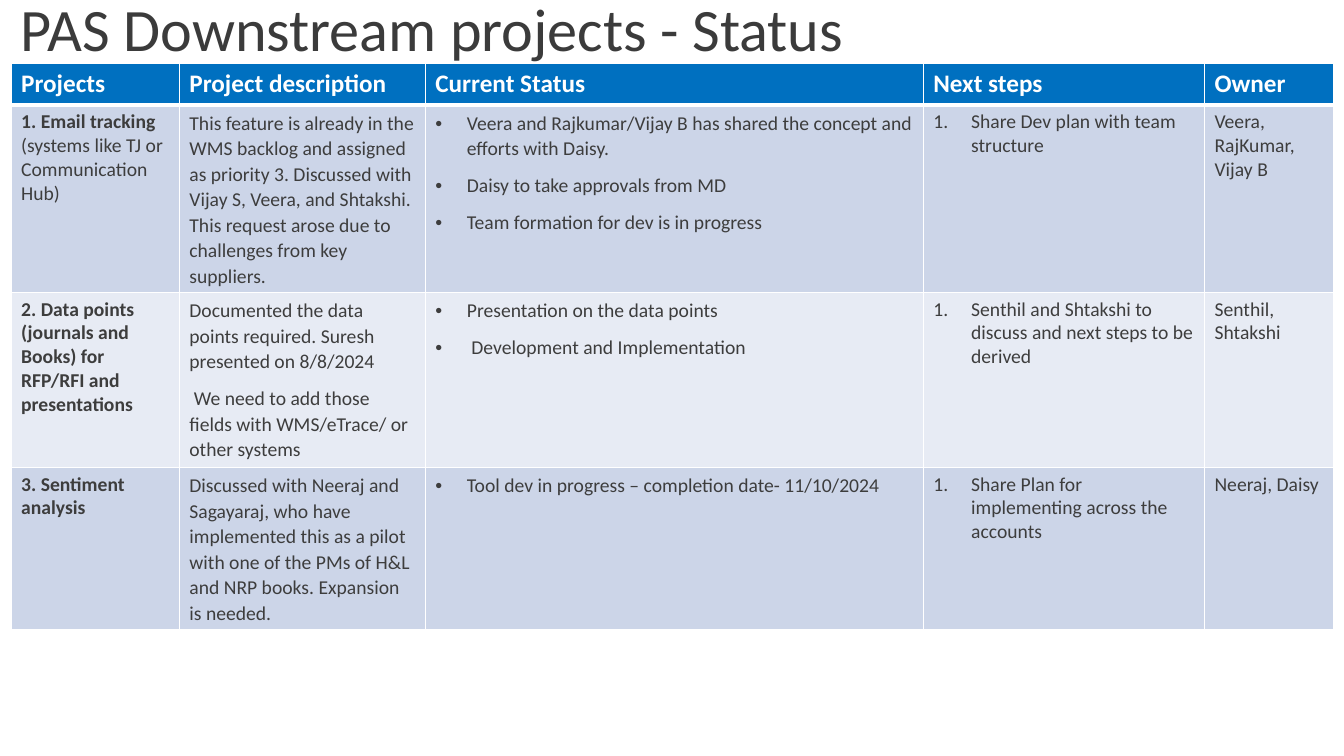
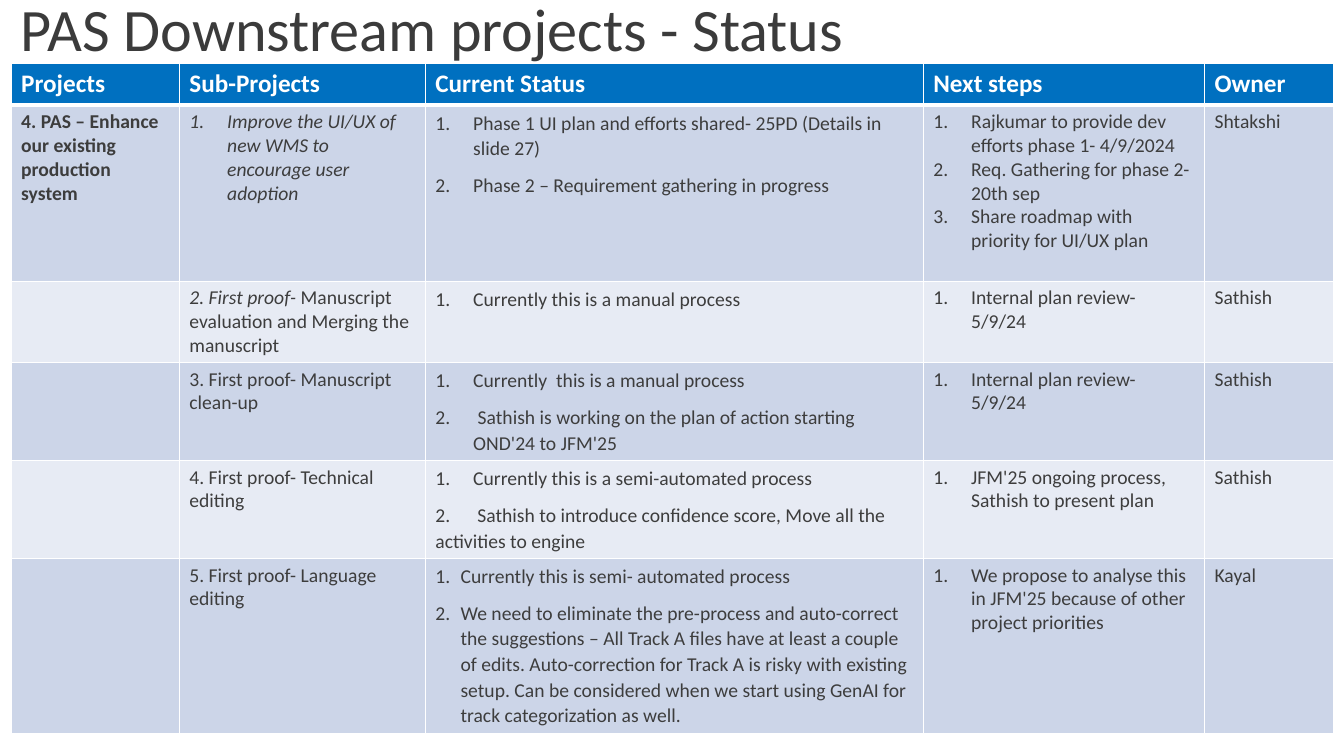
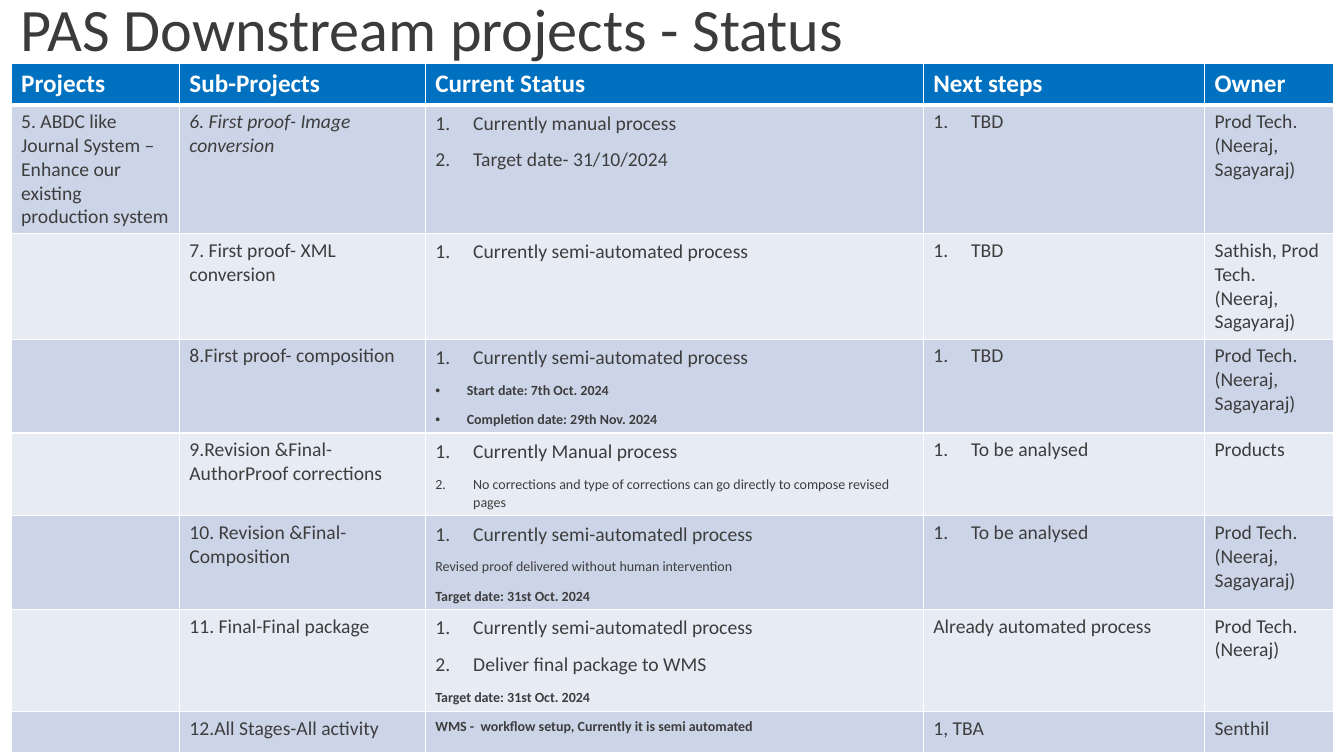
from dataclasses import dataclass

from lxml import etree
from pptx import Presentation
from pptx.dml.color import RGBColor
from pptx.enum import text
from pptx.oxml import ns
from pptx.util import Pt

# Shared look
FONT = "Calibri"
TITLE = "PAS Downstream projects - Status"
TITLE_COLOR = RGBColor(0x3B, 0x3B, 0x3B)
BODY_COLOR = RGBColor(0x3D, 0x3D, 0x3D)
WHITE = RGBColor(0xFF, 0xFF, 0xFF)
HEADER_FILL = RGBColor(0x00, 0x70, 0xC0)
BAND_FILLS = (RGBColor(0xCC, 0xD5, 0xE8), RGBColor(0xE7, 0xEB, 0xF4))
LEFT, TITLE_WIDTH, TITLE_HEIGHT = 7.9, 828, 45.4
HEADER_HEIGHT = 29.5
COLUMN_WIDTHS = (120.2, 175.7, 355.7, 200.9, 92.2)
STATUS_COLUMN = 2
NUMBER_INDENT, BULLET_INDENT, TAB_STOP = 27, 22.5, 30


@dataclass(frozen=True)
class Run:
    text: str
    size: float = 14
    bold: bool = False
    italic: bool = False
    color: RGBColor = BODY_COLOR


@dataclass(frozen=True)
class Para:
    runs: tuple[Run, ...]
    mark: str = ""
    indent: float = 0


@dataclass(frozen=True)
class Row:
    height: float
    cells: tuple[list[Para], ...]


@dataclass(frozen=True)
class StatusTable:
    second_heading: str
    spaced_columns: tuple[int, ...]
    rows: tuple[Row, ...]


# Paragraph kinds
def plain(content: str, **style) -> list[Para]:
    return [Para((Run(content, **style),))]


def numbers(*items: str, indent: float = NUMBER_INDENT, **style) -> list[Para]:
    return [Para((Run(item, **style),), "number", indent) for item in items]


def bullets(*items: str, **style) -> list[Para]:
    return [Para((Run(item, **style),), "bullet", BULLET_INDENT) for item in items]


def lead(first: Run, rest: str) -> list[Para]:
    return [Para((first, Run(rest)))]


# Drawing
def add_element(parent, tag: str, **attributes):
    element = etree.SubElement(parent, ns.qn(tag))
    for name, value in attributes.items():
        element.set(name, str(value))
    return element


def write_paragraph(paragraph, content: Para, line_spacing: float, space_after: float) -> None:
    layout = {"line_spacing": line_spacing, "space_after": Pt(space_after)}
    for name, value in layout.items():
        setattr(paragraph, name, value)
    properties = paragraph._p.get_or_add_pPr()
    if content.mark:
        properties.set("marL", str(Pt(content.indent)))
        properties.set("indent", str(-Pt(content.indent)))
    if content.mark == "number":
        add_element(properties, "a:buFont", typeface="+mj-lt")
        add_element(properties, "a:buAutoNum", type="arabicPeriod")
    elif content.mark == "bullet":
        add_element(properties, "a:buFont", typeface="Arial")
        add_element(properties, "a:buChar", char="•")
    elif "\t" in content.runs[0].text:
        stops = add_element(properties, "a:tabLst")
        add_element(stops, "a:tab", pos=Pt(TAB_STOP), algn="l")
    for item in content.runs:
        run = paragraph.add_run()
        run.text = item.text
        style = {"name": FONT, "size": Pt(item.size), "bold": item.bold, "italic": item.italic}
        for name, value in style.items():
            setattr(run.font, name, value)
        run.font.color.rgb = item.color


def style_cell(cell, fill: RGBColor, bottom_width: float) -> None:
    properties = cell._tc.get_or_add_tcPr()
    for side, width in (("L", 1), ("R", 1), ("B", bottom_width)):
        line = add_element(properties, f"a:ln{side}", w=Pt(width))
        add_element(add_element(line, "a:solidFill"), "a:srgbClr", val=WHITE)
    cell.fill.solid()
    cell.fill.fore_color.rgb = fill


def write_cell(cell, paragraphs: list[Para], spaced: bool) -> None:
    frame = cell.text_frame
    for index, content in enumerate(paragraphs):
        paragraph = frame.add_paragraph() if index else frame.paragraphs[0]
        write_paragraph(paragraph, content, 1.07 if spaced else 1.0, 8 if spaced else 0)


def add_title(slide) -> None:
    box = slide.shapes.add_textbox(Pt(LEFT), Pt(0), Pt(TITLE_WIDTH), Pt(TITLE_HEIGHT))
    frame = box.text_frame
    frame.word_wrap = True
    frame.vertical_anchor = text.MSO_ANCHOR.MIDDLE
    write_paragraph(frame.paragraphs[0], Para((Run(TITLE, 43, color=TITLE_COLOR),)), 0.9, 0)


def add_status_table(slide, content: StatusTable) -> None:
    headings = ("Projects", content.second_heading, "Current Status", "Next steps", "Owner")
    header = Row(HEADER_HEIGHT, tuple(plain(h, size=18, bold=True, color=WHITE) for h in headings))
    rows = (header, *content.rows)
    frame = slide.shapes.add_table(
        len(rows), len(headings), Pt(LEFT), Pt(TITLE_HEIGHT),
        Pt(sum(COLUMN_WIDTHS)), Pt(sum(row.height for row in rows)))
    table = frame.table
    table.horz_banding = False
    for column, width in zip(table.columns, COLUMN_WIDTHS):
        column.width = Pt(width)
    for row_index, row in enumerate(rows):
        table.rows[row_index].height = Pt(row.height)
        is_header = row_index == 0
        fill = HEADER_FILL if is_header else BAND_FILLS[(row_index - 1) % 2]
        for column_index, paragraphs in enumerate(row.cells):
            cell = table.cell(row_index, column_index)
            style_cell(cell, fill, 3 if is_header else 1)
            spaced = not is_header and column_index in content.spaced_columns
            write_cell(cell, paragraphs, spaced)


# Content
PROD_TECH = plain("Prod Tech. (Neeraj, Sagayaraj)")
SATHISH = plain("Sathish")
PLAN_REVIEW = numbers("Internal plan review- 5/9/24")
TO_BE_DECIDED = numbers("TBD")
TO_BE_ANALYSED = numbers("To be analysed")
OCTOBER_TARGET = plain("Target date: 31st Oct. 2024", size=10, bold=True)

TABLES = (
    StatusTable("Project description", (1, STATUS_COLUMN), (
        Row(134, (
            lead(Run("1. Email tracking", bold=True), " (systems like TJ or Communication Hub)"),
            plain("This feature is already in the WMS backlog and assigned as priority 3. "
                  "Discussed with Vijay S, Veera, and Shtakshi. This request arose due to "
                  "challenges from key suppliers."),
            bullets("Veera and Rajkumar/Vijay B has shared the concept and efforts with Daisy.",
                    "Daisy to take approvals from MD",
                    "Team formation for dev is in progress"),
            numbers("Share Dev plan with team structure"),
            plain("Veera, RajKumar, Vijay B"))),
        Row(125, (
            plain("2. Data points (journals and Books) for RFP/RFI and presentations", bold=True),
            plain("Documented the data points required. Suresh presented on 8/8/2024")
            + plain(" We need to add those fields with WMS/eTrace/ or other systems"),
            bullets("Presentation on the data points", " Development and Implementation"),
            numbers("Senthil and Shtakshi to discuss and next steps to be derived"),
            plain("Senthil, Shtakshi"))),
        Row(116, (
            plain("3. Sentiment analysis", bold=True),
            plain("Discussed with Neeraj and Sagayaraj, who have implemented this as a pilot "
                  "with one of the PMs of H&L and NRP books. Expansion is needed."),
            bullets("Tool dev in progress – completion date- 11/10/2024"),
            numbers("Share Plan for implementing across the accounts"),
            plain("Neeraj, Daisy"))),
    )),
    StatusTable("Sub-Projects", (STATUS_COLUMN,), (
        Row(126, (
            plain("4. PAS – Enhance our existing production system", bold=True),
            numbers("Improve the UI/UX of new WMS to encourage user adoption", italic=True),
            numbers("Phase 1 UI plan and efforts shared- 25PD (Details in slide 27)",
                    "Phase 2 – Requirement gathering in progress"),
            numbers("Rajkumar to provide dev efforts phase 1- 4/9/2024",
                    "Req. Gathering for phase 2- 20th sep",
                    "Share roadmap with priority for UI/UX plan"),
            plain("Shtakshi"))),
        Row(58, (
            [],
            lead(Run("2. First proof- ", italic=True),
                 "Manuscript evaluation and Merging the manuscript"),
            numbers("Currently this is a manual process"),
            PLAN_REVIEW, SATHISH)),
        Row(70, (
            [],
            plain("3. First proof- Manuscript clean-up"),
            numbers("Currently  this is a manual process",
                    " Sathish is working on the plan of action starting OND'24 to JFM'25"),
            PLAN_REVIEW, SATHISH)),
        Row(70, (
            [],
            plain("4. First proof- Technical editing"),
            numbers("Currently this is a semi-automated process")
            + plain("2.\tSathish to introduce confidence score, Move all the activities to engine"),
            numbers("JFM'25 ongoing process, Sathish to present plan"),
            SATHISH)),
        Row(125, (
            [],
            plain("5. First proof- Language editing"),
            numbers("Currently this is semi- automated process",
                    "We need to eliminate the pre-process and auto-correct the suggestions – "
                    "All Track A files have at least a couple of edits. Auto-correction for "
                    "Track A is risky with existing setup. Can be considered when we start "
                    "using GenAI for track categorization as well.", indent=18),
            numbers("We propose to analyse this in JFM'25 because of other project priorities"),
            plain("Kayal"))),
    )),
    StatusTable("Sub-Projects", (STATUS_COLUMN,), (
        Row(92, (
            plain("5. ABDC like Journal System – Enhance our existing production system"),
            plain("6. First proof- Image conversion", italic=True),
            numbers("Currently manual process", "Target date- 31/10/2024"),
            TO_BE_DECIDED, PROD_TECH)),
        Row(75.5, (
            [],
            plain("7. First proof- XML conversion"),
            numbers("Currently semi-automated process"),
            TO_BE_DECIDED,
            plain("Sathish, Prod Tech. (Neeraj, Sagayaraj)"))),
        Row(67, (
            [],
            plain("8.First proof- composition"),
            numbers("Currently semi-automated process")
            + bullets("Start date: 7th Oct. 2024", "Completion date: 29th Nov. 2024",
                      size=10, bold=True),
            TO_BE_DECIDED, PROD_TECH)),
        Row(59, (
            [],
            plain("9.Revision &Final- AuthorProof corrections"),
            numbers("Currently Manual process")
            + numbers("No corrections and type of corrections can go directly to compose "
                      "revised pages", size=10),
            TO_BE_ANALYSED,
            plain("Products"))),
        Row(67, (
            [],
            plain("10. Revision &Final- Composition"),
            numbers("Currently semi-automatedl process")
            + plain("Revised proof delivered without human intervention", size=10)
            + OCTOBER_TARGET,
            TO_BE_ANALYSED, PROD_TECH)),
        Row(73, (
            [],
            plain("11. Final-Final package"),
            numbers("Currently semi-automatedl process", "Deliver final package to WMS")
            + OCTOBER_TARGET,
            plain("Already automated process"),
            plain("Prod Tech. (Neeraj)"))),
        Row(29.5, (
            [],
            plain("12.All Stages-All activity"),
            plain("WMS -  workflow setup, Currently it is semi automated", size=10, bold=True),
            plain("1, TBA"),
            plain("Senthil"))),
    )),
)


def main() -> None:
    presentation = Presentation()
    presentation.slide_width, presentation.slide_height = Pt(960), Pt(540)
    blank_layout = presentation.slide_layouts[6]
    for content in TABLES:
        slide = presentation.slides.add_slide(blank_layout)
        add_title(slide)
        add_status_table(slide, content)
    presentation.save("out.pptx")


if __name__ == "__main__":
    main()
